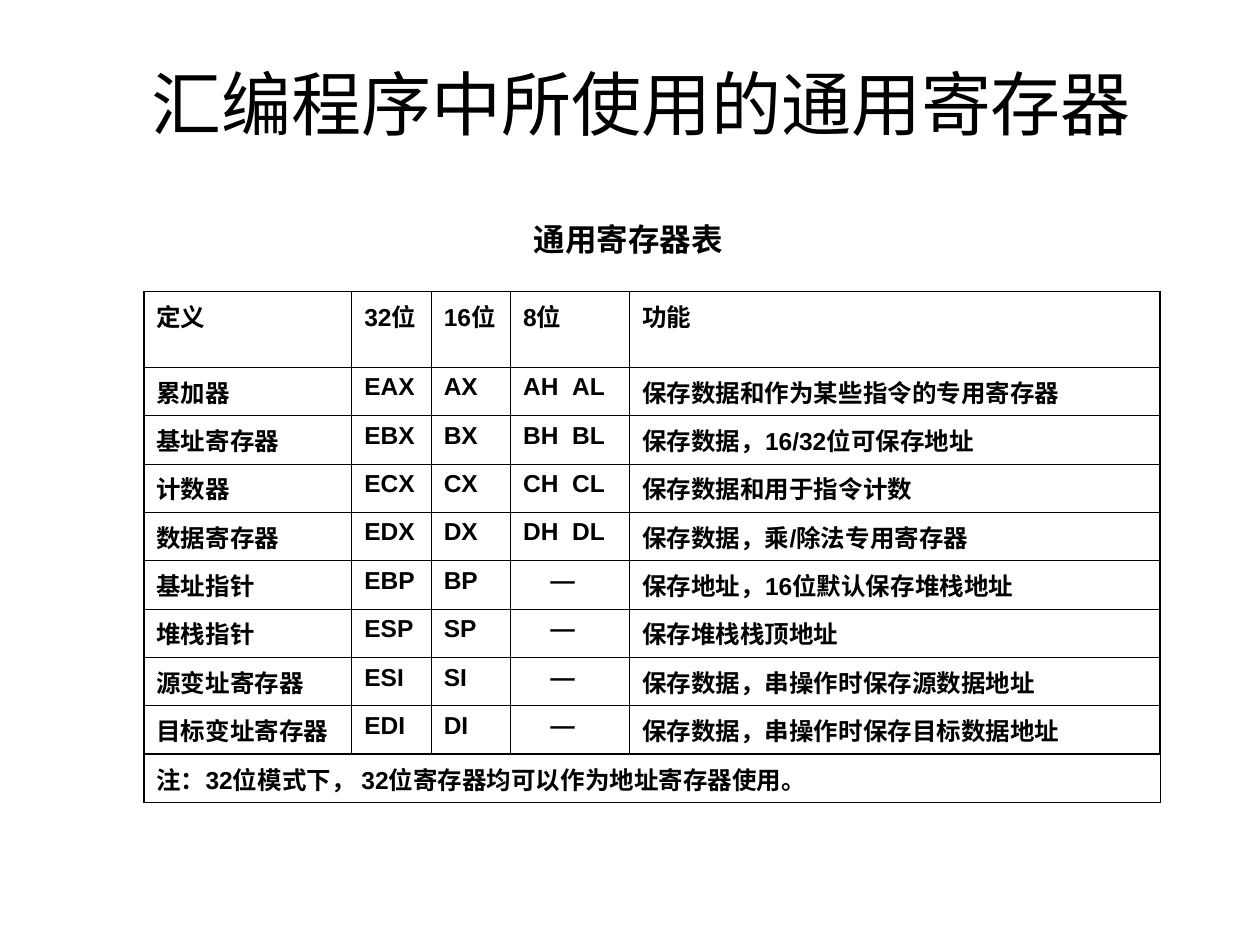
from lxml import etree
from pptx import Presentation
from pptx.dml.color import RGBColor
from pptx.enum import lang, text
from pptx.oxml import ns
from pptx.util import Pt

INK = {"black": "000000"}
THIN, THICK = 0.45, 1.08
COLS = [118.8, 45.4, 45.4, 68, 303.1]
HEAD, ROW = 43, 27.6
DASH = "—"
ROWS = [
    ["定义", "32位", "16位", "8位", "功能"],
    ["累加器", "EAX", "AX", "AH\tAL", "保存数据和作为某些指令的专用寄存器"],
    ["基址寄存器", "EBX", "BX", "BH\tBL", "保存数据，16/32位可保存地址"],
    ["计数器", "ECX", "CX", "CH\tCL", "保存数据和用于指令计数"],
    ["数据寄存器", "EDX", "DX", "DH\tDL", "保存数据，乘/除法专用寄存器"],
    ["基址指针", "EBP", "BP", DASH, "保存地址，16位默认保存堆栈地址"],
    ["堆栈指针", "ESP", "SP", DASH, "保存堆栈栈顶地址"],
    ["源变址寄存器", "ESI", "SI", DASH, "保存数据，串操作时保存源数据地址"],
    ["目标变址寄存器", "EDI", "DI", DASH, "保存数据，串操作时保存目标数据地址"],
    ["注：32位模式下， 32位寄存器均可以作为地址寄存器使用。"],
]


def style(part, **form):
    for key, val in form.items():
        setattr(part, key, val)


def write(frame, words, size, bold):
    frame.text = words
    para = frame.paragraphs[0]
    for run in para.runs:
        style(run.font, name="Arial", size=Pt(size), bold=bold,
              language_id=lang.MSO_LANGUAGE_ID.SIMPLIFIED_CHINESE)
        run.font.color.rgb = RGBColor.from_string(INK["black"])
    return para


def add_title(slide):
    title = slide.shapes.title
    style(title, left=Pt(42.5), top=Pt(54.7), width=Pt(648), height=Pt(55.4))
    frame = title.text_frame
    style(frame, word_wrap=True, auto_size=text.MSO_AUTO_SIZE.NONE,
          vertical_anchor=text.MSO_ANCHOR.MIDDLE)
    para = write(frame, "汇编程序中所使用的通用寄存器\v", 40, False)
    para.alignment = text.PP_ALIGN.CENTER
    end = etree.SubElement(para._p, ns.qn("a:endParaRPr"), sz="4000")
    etree.SubElement(end, ns.qn("a:latin"), typeface="Arial")


def add_label(slide):
    box = slide.shapes.add_textbox(Pt(298), Pt(122.4), Pt(122.4), Pt(28.8))
    style(box.text_frame, word_wrap=False,
          auto_size=text.MSO_AUTO_SIZE.SHAPE_TO_FIT_TEXT)
    write(box.text_frame, "通用寄存器表", 18, True)


def rule(cell, sides):
    """Draw the cell borders; sides maps L, R, T, B to widths in points."""
    props = cell._tc.get_or_add_tcPr()
    for side, width in sides.items():
        line = etree.SubElement(props, ns.qn("a:ln" + side), w=str(Pt(width)))
        fill = etree.SubElement(line, ns.qn("a:solidFill"))
        etree.SubElement(fill, ns.qn("a:srgbClr"), val=INK["black"])


def add_tab(para, place):
    tabs = etree.SubElement(para._p.get_or_add_pPr(), ns.qn("a:tabLst"))
    etree.SubElement(tabs, ns.qn("a:tab"), pos=str(Pt(place)), algn="l")


def add_grid(slide):
    last = len(ROWS) - 1
    frame = slide.shapes.add_table(len(ROWS), len(COLS), Pt(82.2), Pt(166.5),
                                   Pt(sum(COLS)), Pt(HEAD + ROW * last))
    grid = frame.table
    style(grid, first_row=False, horz_banding=False)
    for col, width in zip(grid.columns, COLS):
        col.width = Pt(width)
    for r, row in enumerate(grid.rows):
        row.height = Pt(ROW if r else HEAD)
        for c, cell in enumerate(row.cells):
            rule(cell, {
                "L": THIN if c else THICK,
                "R": THICK if c == len(COLS) - 1 else THIN,
                "T": THICK if r in (0, last) else THIN,
                "B": THICK if r >= last - 1 else THIN,
            })
            cell.fill.background()
    grid.cell(last, 0).merge(grid.cell(last, len(COLS) - 1))
    for r, row in enumerate(ROWS):
        for c, words in enumerate(row):
            cell = grid.cell(r, c)
            para = write(cell.text_frame, words, 14, True)
            if "\t" in words:
                add_tab(para, 28)
            if words == DASH:
                cell.margin_left = Pt(22.8)


def main():
    deck = Presentation()
    style(deck, slide_width=Pt(720), slide_height=Pt(540))
    slide = deck.slides.add_slide(deck.slide_layouts[5])
    add_title(slide)
    add_grid(slide)
    add_label(slide)
    deck.save("out.pptx")


if __name__ == "__main__":
    main()
